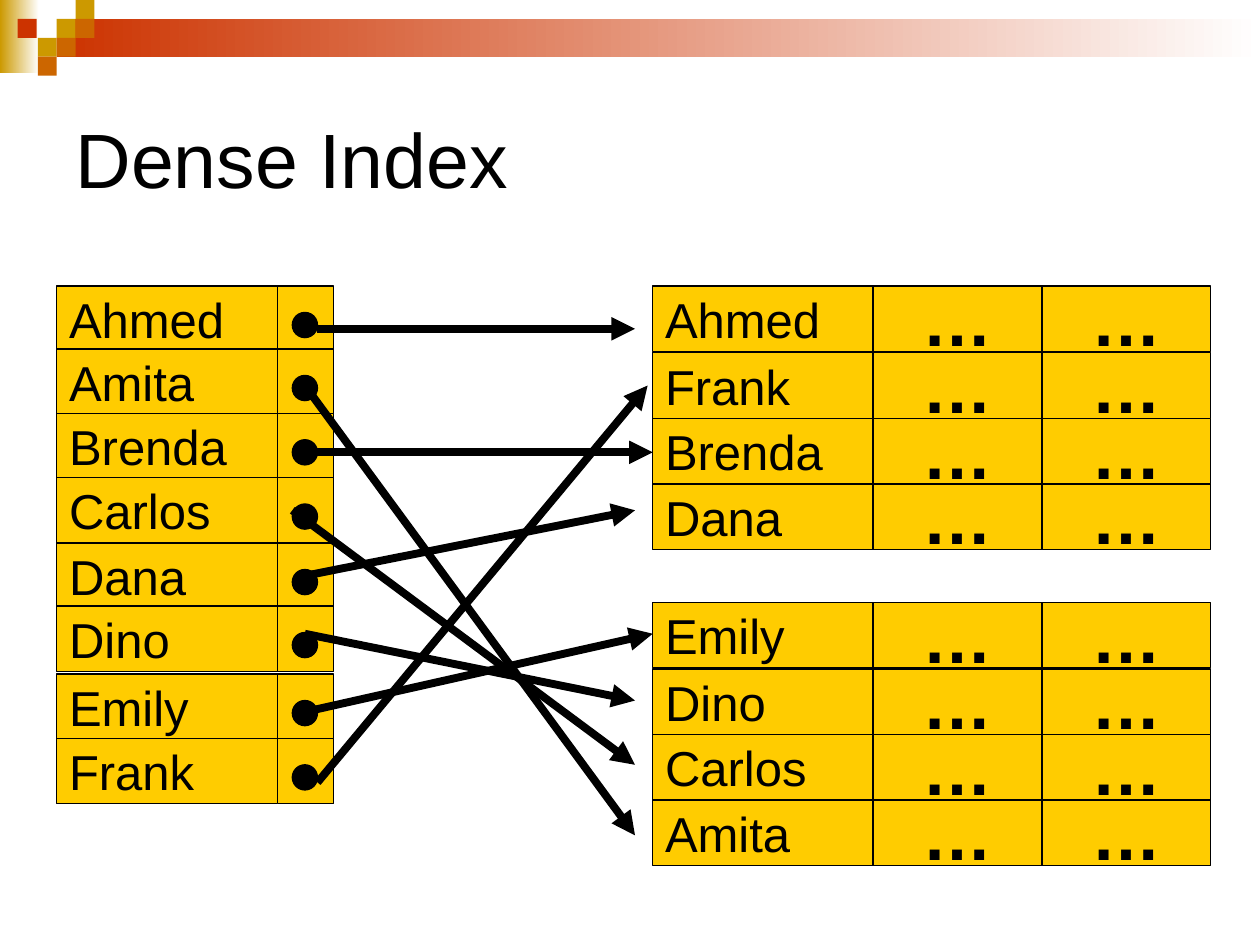
import dataclasses

import pptx
import pptx.dml.color
import pptx.enum.shapes
import pptx.enum.text
import pptx.oxml
import pptx.oxml.ns
import pptx.util
from pptx.util import Inches

RGB = pptx.dml.color.RGBColor
KIND = pptx.enum.shapes.MSO_SHAPE
ALIGN = pptx.enum.text.PP_ALIGN

BLACK = RGB(0x00, 0x00, 0x00)
WHITE = RGB(0xFF, 0xFF, 0xFF)
YELLOW = RGB(0xFF, 0xCC, 0x00)
GOLD = RGB(0xCC, 0x99, 0x00)
ORANGE = RGB(0xCC, 0x66, 0x00)
RED = RGB(0xCC, 0x33, 0x00)

FONT = "Arial"
CELL = 0.52
NAME = 1.75
FIELD = 1.34
SLOT = 0.45
DOT = 0.2
SQUARE = 0.15


@dataclasses.dataclass
class Box:
    left: float
    top: float
    width: float
    height: float
    color: RGB
    kind: KIND = KIND.RECTANGLE
    edge: bool = True
    fade: bool = False


@dataclasses.dataclass
class Entry:
    name: str
    top: float
    start: tuple[float, float]
    end: tuple[float, float]


@dataclasses.dataclass
class Block:
    top: float
    names: list[str]


TRIM = [
    Box(0, 0, 0.31, 0.58, GOLD, edge=False, fade=True),
    Box(0.45, 0.15, 9.55, 0.3, RED, edge=False, fade=True),
] + [
    Box(left, top, SQUARE, SQUARE, color, edge=False)
    for left, top, color in [
        (0.45, 0.15, GOLD),
        (0.6, 0, GOLD),
        (0.6, 0.15, ORANGE),
        (0.3, 0.3, GOLD),
        (0.14, 0.15, RED),
        (0.45, 0.3, ORANGE),
        (0.3, 0.45, ORANGE),
    ]
]

INDEX = [
    Entry("Ahmed", 2.27, (2.52, 2.61), (5.04, 2.61)),
    Entry("Amita", 2.77, (2.42, 3.06), (5.04, 6.63)),
    Entry("Brenda", 3.28, (2.42, 3.59), (5.18, 3.59)),
    Entry("Carlos", 3.79, (2.32, 4.05), (5.04, 6.07)),
    Entry("Dana", 4.31, (2.42, 4.57), (5.04, 4.05)),
    Entry("Dino", 4.81, (2.42, 5.03), (5.04, 5.56)),
    Entry("Emily", 5.35, (2.42, 5.65), (5.18, 5.03)),
    Entry("Frank", 5.86, (2.52, 6.21), (5.14, 3.06)),
]

BLOCKS = [
    Block(2.27, ["Ahmed", "Frank", "Brenda", "Dana"]),
    Block(4.78, ["Emily", "Dino", "Carlos", "Amita"]),
]


def write(shape, text: str, *, size: int = 28, bold: bool = False,
          align: ALIGN = ALIGN.LEFT) -> None:
    frame = shape.text_frame
    frame.word_wrap = True
    frame.auto_size = pptx.enum.text.MSO_AUTO_SIZE.NONE
    frame.vertical_anchor = pptx.enum.text.MSO_ANCHOR.MIDDLE
    line = frame.paragraphs[0]
    line.alignment = align
    run = line.add_run()
    run.text = text
    run.font.name = FONT
    run.font.size = pptx.util.Pt(size)
    run.font.bold = bold
    run.font.color.rgb = BLACK


def draw(slide, box: Box):
    shape = slide.shapes.add_shape(
        box.kind, Inches(box.left), Inches(box.top), Inches(box.width), Inches(box.height))
    shape.shadow.inherit = False
    if box.fade:
        shape.fill.gradient()
        shape.fill.gradient_angle = 0
        for stop, color in zip(shape.fill.gradient_stops, (box.color, WHITE)):
            stop.color.rgb = color
    else:
        shape.fill.solid()
        shape.fill.fore_color.rgb = box.color
    if box.edge:
        shape.line.color.rgb = BLACK
        shape.line.width = pptx.util.Pt(0.75)
    else:
        shape.line.fill.background()
    return shape


def draw_block(slide, block: Block) -> None:
    for row, name in enumerate(block.names):
        top = block.top + row * CELL + (0.01 if row else 0)
        left = 5.18
        write(draw(slide, Box(left, top, NAME, CELL, YELLOW)), name)
        for col in range(2):
            cell = Box(left + NAME + col * FIELD, top, FIELD, CELL, YELLOW)
            write(draw(slide, cell), "…", size=40, bold=True, align=ALIGN.CENTER)


def draw_entry(slide, entry: Entry) -> None:
    left = 0.45
    write(draw(slide, Box(left, entry.top, NAME, CELL, YELLOW)), entry.name)
    draw(slide, Box(left + NAME, entry.top, SLOT, CELL, YELLOW))
    draw(slide, Box(2.32, entry.top + 0.21, DOT, DOT, BLACK, KIND.OVAL))


def draw_arrow(slide, entry: Entry) -> None:
    ends = [Inches(place) for place in entry.start + entry.end]
    arrow = slide.shapes.add_connector(pptx.enum.shapes.MSO_CONNECTOR.STRAIGHT, *ends)
    arrow.line.color.rgb = BLACK
    arrow.line.width = pptx.util.Pt(4.5)
    space = pptx.oxml.ns.nsdecls("a")
    arrow.line._get_or_add_ln().append(
        pptx.oxml.parse_xml(f'<a:tailEnd {space} type="triangle"/>'))
    arrow._element.spPr.append(pptx.oxml.parse_xml(f"<a:effectLst {space}/>"))


def main() -> None:
    deck = pptx.Presentation()
    deck.slide_width = Inches(10)
    deck.slide_height = Inches(7.5)
    slide = deck.slides.add_slide(deck.slide_layouts[5])
    for box in TRIM:
        draw(slide, box)
    title = slide.shapes.title
    title.left, title.top = Inches(0.5), Inches(0.5)
    title.width, title.height = Inches(9), Inches(1.5)
    write(title, "Dense Index", size=44)
    for block in BLOCKS:
        draw_block(slide, block)
    for entry in INDEX:
        draw_entry(slide, entry)
    for entry in INDEX:
        draw_arrow(slide, entry)
    deck.save("out.pptx")


if __name__ == "__main__":
    main()
